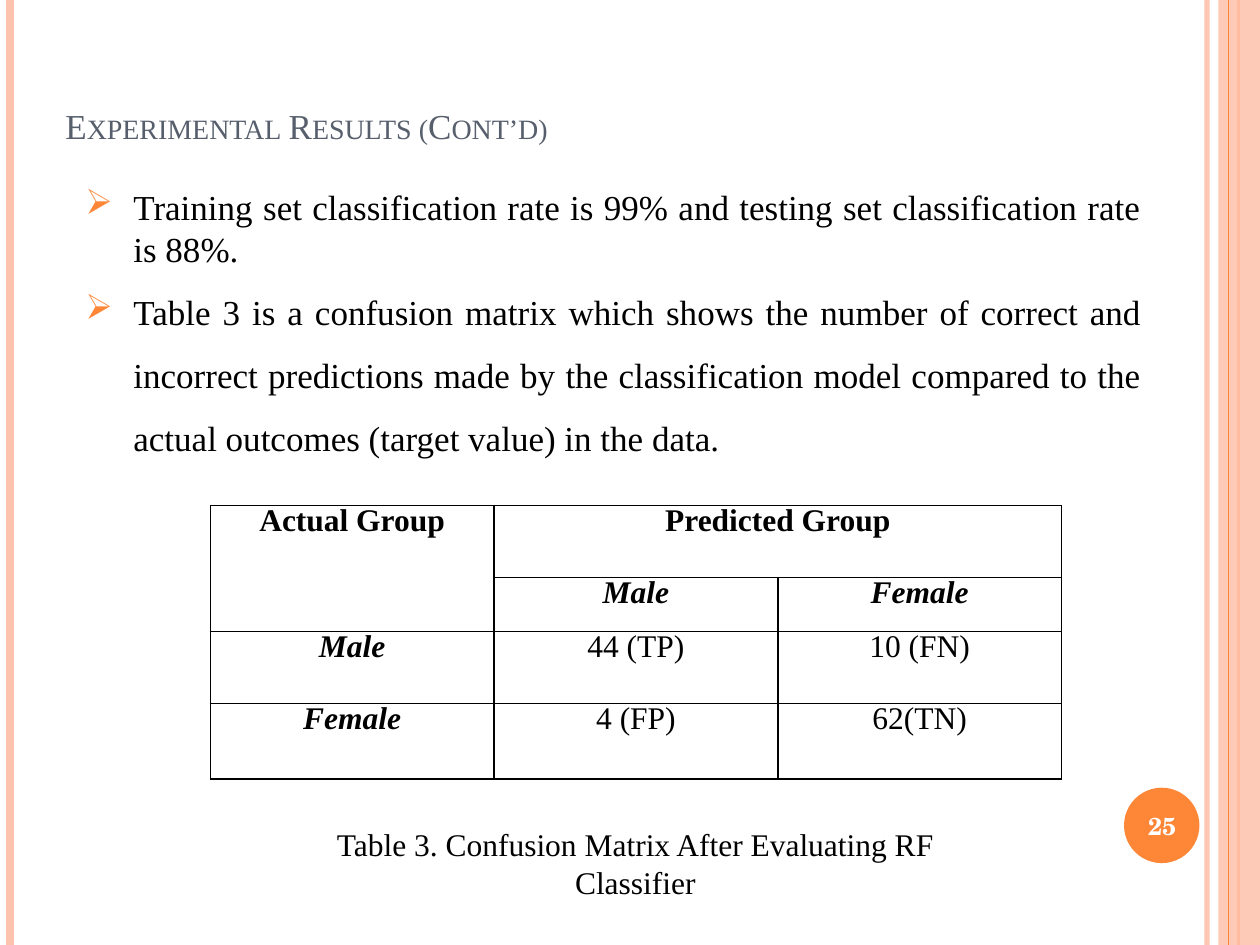
from dataclasses import dataclass

from lxml import etree
from pptx import Presentation
from pptx.dml.color import RGBColor
from pptx.enum import shapes, text
from pptx.oxml.ns import qn
from pptx.util import Cm, Pt

SERIF = "Times New Roman"
BLACK, WHITE, ORANGE, PEACH = "000000", "FFFFFF", "FE8637", "FEC3AE"
SLIDE_W, SLIDE_H = 25.4, 19.05
CENTER, JUSTIFY = text.PP_ALIGN.CENTER, text.PP_ALIGN.JUSTIFY
TOP, MIDDLE, BOTTOM = text.MSO_ANCHOR.TOP, text.MSO_ANCHOR.MIDDLE, text.MSO_ANCHOR.BOTTOM


@dataclass
class Rule:
    x: float
    color: str
    width: float
    alpha: int = 100


@dataclass
class Box:
    left: float
    top: float
    width: float
    height: float

    def lengths(self) -> list:
        return [Cm(v) for v in (self.left, self.top, self.width, self.height)]


@dataclass
class Entry:
    row: int
    col: int
    words: str
    bold: bool = False
    italic: bool = False


def rgb(value: str) -> RGBColor:
    return RGBColor.from_string(value)


def set_alpha(parent, percent: int) -> None:
    if percent < 100:
        color = next(parent.iter(qn("a:srgbClr")))
        etree.SubElement(color, qn("a:alpha"), val=str(percent * 1000))


def draw_rule(s, rule: Rule) -> None:
    x = Cm(rule.x)
    line = s.shapes.add_connector(shapes.MSO_CONNECTOR.STRAIGHT, x, 0, x, Cm(SLIDE_H))
    line.line.color.rgb = rgb(rule.color)
    line.line.width = Pt(rule.width)
    sp_pr = line._element.spPr
    set_alpha(sp_pr, rule.alpha)
    etree.SubElement(sp_pr, qn("a:effectLst"))


def draw_shape(s, kind, box: Box, color: str, alpha: int = 100) -> None:
    sp = s.shapes.add_shape(kind, *box.lengths())
    sp.shadow.inherit = False
    sp.fill.solid()
    sp.fill.fore_color.rgb = rgb(color)
    sp.line.fill.background()
    set_alpha(sp._element.spPr, alpha)


def style(p, size: float, color: str = BLACK, name: str = SERIF, align=None) -> None:
    p.font.size = Pt(size)
    p.font.name = name
    p.font.color.rgb = rgb(color)
    p.alignment = align


def draw_text(s, box: Box, lines: list[str], size: float, color: str = BLACK,
              name: str = SERIF, align=None, anchor=TOP) -> list:
    tf = s.shapes.add_textbox(*box.lengths()).text_frame
    tf.word_wrap = True
    tf.vertical_anchor = anchor
    tf.text = "\n".join(lines)
    for p in tf.paragraphs:
        style(p, size, color, name, align)
    return list(tf.paragraphs)


def add_bullet(p, char: str, color: str, indent: float) -> None:
    p_pr = p._p.get_or_add_pPr()
    p_pr.set("marL", str(Cm(indent)))
    p_pr.set("indent", str(-Cm(indent)))
    bullet_color = etree.Element(qn("a:buClr"))
    etree.SubElement(bullet_color, qn("a:srgbClr"), val=color)
    bullet = etree.Element(qn("a:buChar"), char=char)
    p_pr.find(qn("a:defRPr")).addprevious(bullet_color)
    p_pr.find(qn("a:defRPr")).addprevious(bullet)


def set_borders(cell, color: str, width: float) -> None:
    tc_pr = cell._tc.get_or_add_tcPr()
    for i, side in enumerate(("lnL", "lnR", "lnT", "lnB")):
        ln = etree.Element(qn(f"a:{side}"), w=str(Pt(width)))
        fill = etree.SubElement(ln, qn("a:solidFill"))
        etree.SubElement(fill, qn("a:srgbClr"), val=color)
        tc_pr.insert(i, ln)


def draw_matrix(s, left: float, top: float, cols: list[float], rows: list[float],
                entries: list[Entry]) -> None:
    box = Box(left, top, sum(cols), sum(rows))
    table = s.shapes.add_table(len(rows), len(cols), *box.lengths()).table
    table.first_row = table.horz_banding = False
    for column, width in zip(table.columns, cols):
        column.width = Cm(width)
    for row, height in zip(table.rows, rows):
        row.height = Cm(height)
    for cell in table.iter_cells():
        cell.margin_left = cell.margin_right = Cm(0.18)
        cell.margin_top = cell.margin_bottom = 0
        cell.fill.background()
        set_borders(cell, BLACK, 1)
    table.cell(0, 0).merge(table.cell(1, 0))
    table.cell(0, 1).merge(table.cell(0, 2))
    for entry in entries:
        p = table.cell(entry.row, entry.col).text_frame.paragraphs[0]
        p.text = entry.words
        style(p, 18, align=CENTER)
        p.font.bold = entry.bold
        p.font.italic = entry.italic
        p.line_spacing = 0.95
        p.space_after = Pt(6)


RULES = [
    Rule(24.33, PEACH, 3, 93),
    Rule(0.2, PEACH, 4.5),
    Rule(24.97, ORANGE, 1.5),
]
INNER_RULE = Rule(24.77, ORANGE, 0.75)
POINTS = [
    "Training set classification rate is 99% and testing set classification rate is 88%.",
    "Table 3 is a confusion matrix which shows the number of correct and incorrect "
    "predictions made by the classification model compared to the actual outcomes "
    "(target value) in the data.",
]
ENTRIES = [
    Entry(0, 0, "Actual Group", True),
    Entry(0, 1, "Predicted Group", True),
    Entry(1, 1, "Male", True, True),
    Entry(1, 2, "Female", True, True),
    Entry(2, 0, "Male", True, True),
    Entry(2, 1, "44 (TP)"),
    Entry(2, 2, "10 (FN)"),
    Entry(3, 0, "Female", True, True),
    Entry(3, 1, "4 (FP)"),
    Entry(3, 2, "62(TN)"),
]


def main() -> None:
    prs = Presentation()
    prs.slide_width, prs.slide_height = Cm(SLIDE_W), Cm(SLIDE_H)
    s = prs.slides.add_slide(prs.slide_layouts[6])

    for rule in RULES:
        draw_rule(s, rule)
    draw_shape(s, shapes.MSO_SHAPE.RECTANGLE, Box(24.56, 0, 0.84, SLIDE_H), PEACH, 87)
    draw_rule(s, INNER_RULE)
    draw_shape(s, shapes.MSO_SHAPE.OVAL, Box(22.66, 15.88, 1.52, 1.52), ORANGE)

    title = draw_text(s, Box(1.07, -0.1, 20.75, 3.18), ["Experimental Results (Cont’d)"],
                      20, "575F6D", anchor=BOTTOM)[0]
    title.runs[0].font._element.set("cap", "small")

    number = draw_text(s, Box(22.58, 15.93, 1.7, 1.45), ["25"], 14, WHITE,
                       "TeX Gyre Schola", CENTER, MIDDLE)[0]
    number.font.bold = True

    points = draw_text(s, Box(1.47, 3.61, 21.79, 6.58), POINTS, 20, align=JUSTIFY)
    points[1].line_spacing = 1.5
    for p in points:
        add_bullet(p, "➢", ORANGE, 0.97)

    draw_text(s, Box(5.61, 14.17, 14.4, 4.11),
              ["Table 3. Confusion Matrix After Evaluating RF Classifier"],
              18, align=CENTER, anchor=BOTTOM)
    draw_matrix(s, 4.24, 10.19, [5.72] * 3, [1.45, 1.09, 1.45, 1.52], ENTRIES)
    prs.save("out.pptx")


if __name__ == "__main__":
    main()
